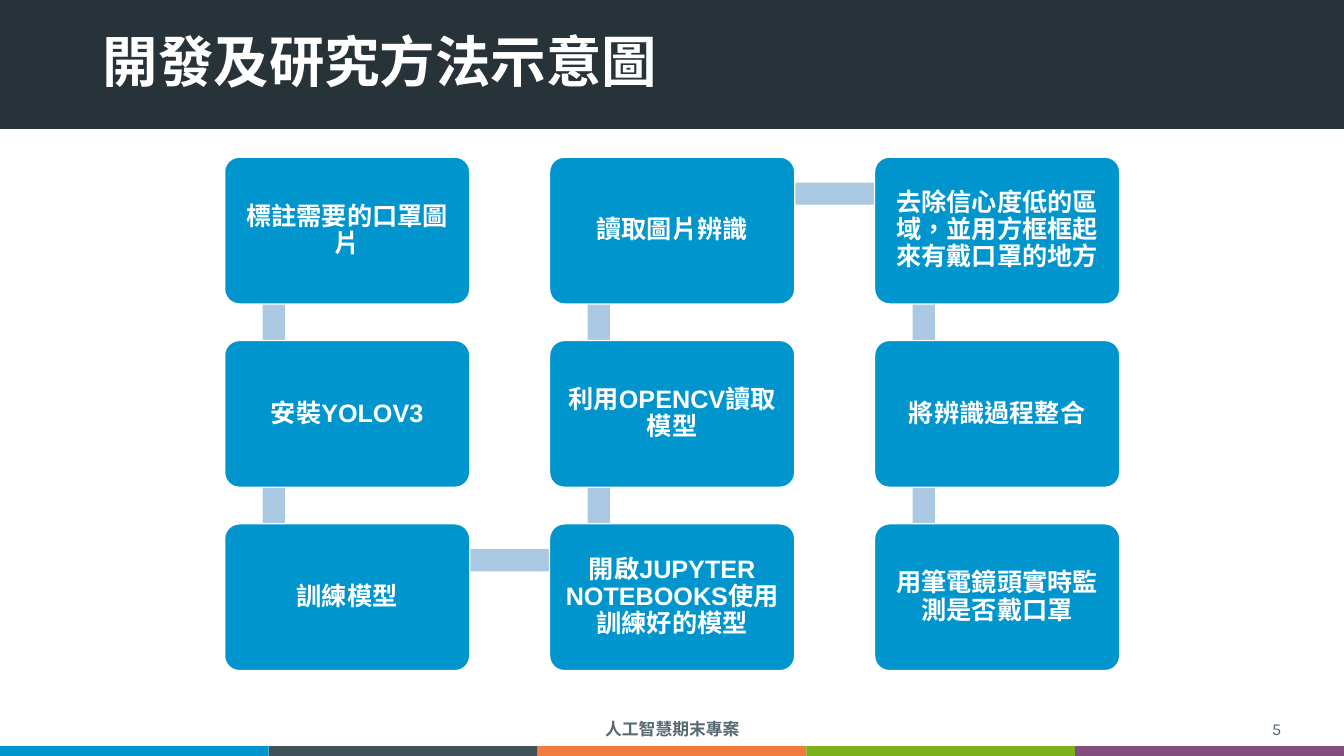
from pptx import Presentation
from pptx.dml.color import RGBColor
from pptx.enum.lang import MSO_LANGUAGE_ID as LANG
from pptx.enum.shapes import MSO_SHAPE as SHAPE
from pptx.enum.text import MSO_ANCHOR as ANCHOR, PP_ALIGN as ALIGN
from pptx.util import Cm, Pt

# Content: each column lists its steps from top to bottom
TITLE = "開發及研究方法示意圖"
FOOTER = "人工智慧期末專案"
PAGE = "5"
COLUMNS = [
    [("標註需要的口罩圖片", "Karla"),
     ("安裝YOLOV3", "Arial"),
     ("訓練模型", "Karla")],
    [("讀取圖片辨識", "Karla"),
     ("利用OPENCV讀取模型", "Arial"),
     ("開啟JUPYTER NOTEBOOKS使用訓練好的模型", "Arial")],
    [("去除信心度低的區域，並用方框框起來有戴口罩的地方", "Karla"),
     ("將辨識過程整合", "Karla"),
     ("用筆電鏡頭實時監測是否戴口罩", "Karla")],
]
TURNS = [(0, 2), (1, 0)]  # column, row where the flow moves right
STRIPES = ["0095CD", "40515A", "F17C3F", "7BB21B", "814E7E"]
DARK, BLUE, PALE, GREY, WHITE = "273339", "0095CD", "ABC8E3", "576973", "FFFFFF"

# Layout in centimetres
SLIDE_W, SLIDE_H = 33.87, 19.05
CARD_W, CARD_H = 6.18, 3.7
LEFT, TOP, STEP_X, STEP_Y = 5.66, 3.96, 8.19, 4.62
BAR = 0.56

prs = Presentation()
prs.slide_width, prs.slide_height = Cm(SLIDE_W), Cm(SLIDE_H)
s = prs.slides.add_slide(prs.slide_layouts[6])


def color(value):
    return RGBColor.from_string(value)


def add_block(x, y, w, h, fill, kind=SHAPE.RECTANGLE):
    sp = s.shapes.add_shape(kind, Cm(x), Cm(y), Cm(w), Cm(h))
    sp.shadow.inherit = False
    sp.fill.solid()
    sp.fill.fore_color.rgb = color(fill)
    sp.line.fill.background()
    return sp


def write(sp, text, size, font, fill, align, bold=True, spacing=1.0):
    tf = sp.text_frame
    tf.word_wrap = True
    tf.vertical_anchor = ANCHOR.MIDDLE
    p = tf.paragraphs[0]
    p.alignment = align
    p.line_spacing = spacing
    r = p.add_run()
    r.text = text
    r.font.size, r.font.name, r.font.bold = Pt(size), font, bold
    r.font.color.rgb = color(fill)
    r.font.language_id = LANG.TRADITIONAL_CHINESE


def add_text(x, y, w, h, *args, **style):
    write(s.shapes.add_textbox(Cm(x), Cm(y), Cm(w), Cm(h)), *args, **style)


# Title band and bottom stripes
add_block(0, -0.03, SLIDE_W, 3.28, DARK)
stripe_w = SLIDE_W / len(STRIPES)
for i, stripe in enumerate(STRIPES):
    add_block(i * stripe_w, 18.8, stripe_w, 0.25, stripe)
add_text(2.34, 0.69, 29.21, 1.88, TITLE, 39.6, "Karla", WHITE, ALIGN.LEFT, spacing=0.9)
add_text(11.23, 17.96, 11.43, 0.79, FOOTER, 12, "Noto Sans CJK SC", GREY, ALIGN.CENTER)
add_text(24.92, 17.96, 7.62, 0.79, PAGE, 12, "Karla", GREY, ALIGN.RIGHT, bold=False)

# Linking bars, behind the cards
for col, steps in enumerate(COLUMNS):
    for row in range(len(steps) - 1):
        add_block(LEFT + col * STEP_X + 0.96, TOP + row * STEP_Y + 0.93, BAR, 4.6, PALE)
for col, row in TURNS:
    add_block(LEFT + col * STEP_X + 1.25, TOP + row * STEP_Y + 0.64, STEP_X, BAR, PALE)

# Step cards
for col, steps in enumerate(COLUMNS):
    for row, (text, font) in enumerate(steps):
        card = add_block(LEFT + col * STEP_X, TOP + row * STEP_Y, CARD_W, CARD_H,
                         BLUE, SHAPE.ROUNDED_RECTANGLE)
        card.adjustments[0] = 0.1
        card.line.color.rgb = color(WHITE)
        card.line.width = Pt(1)
        tf = card.text_frame
        tf.margin_left = tf.margin_right = tf.margin_top = tf.margin_bottom = Cm(0.18)
        write(card, text, 18, font, WHITE, ALIGN.CENTER, spacing=0.9)

prs.save("out.pptx")
